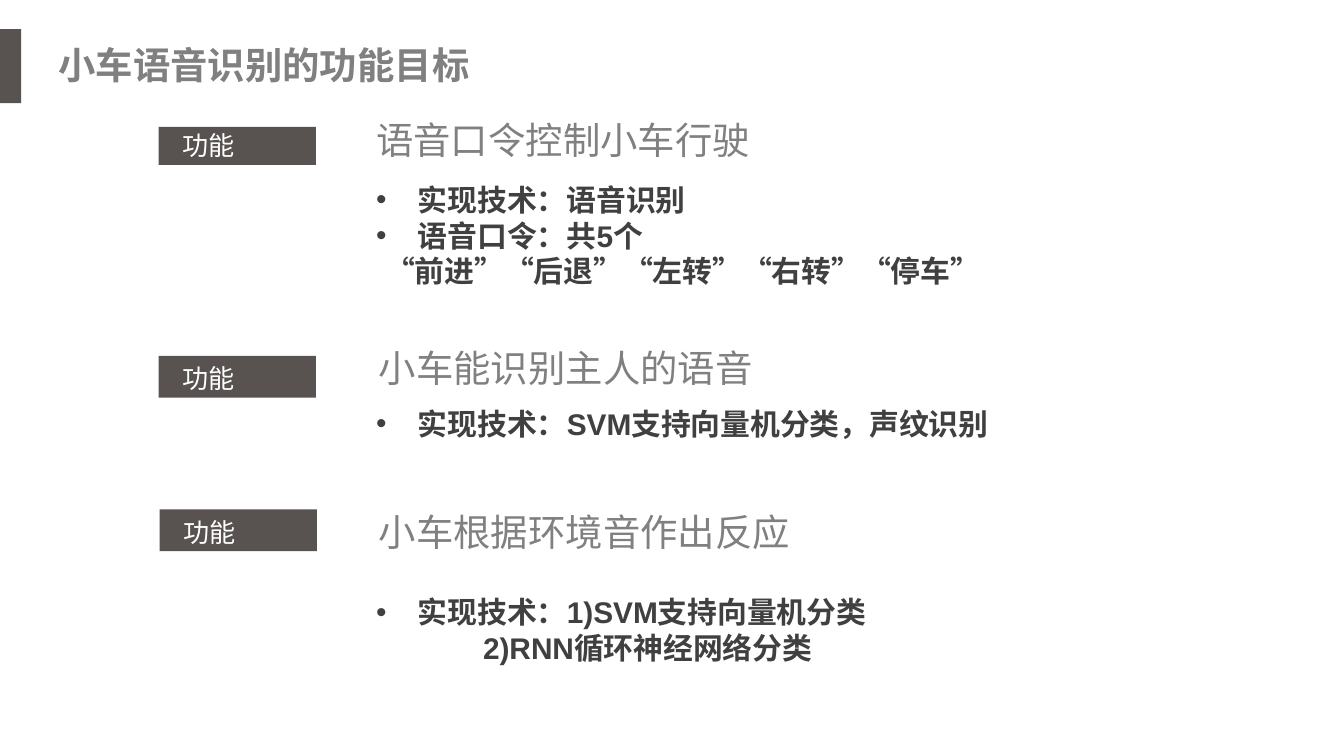
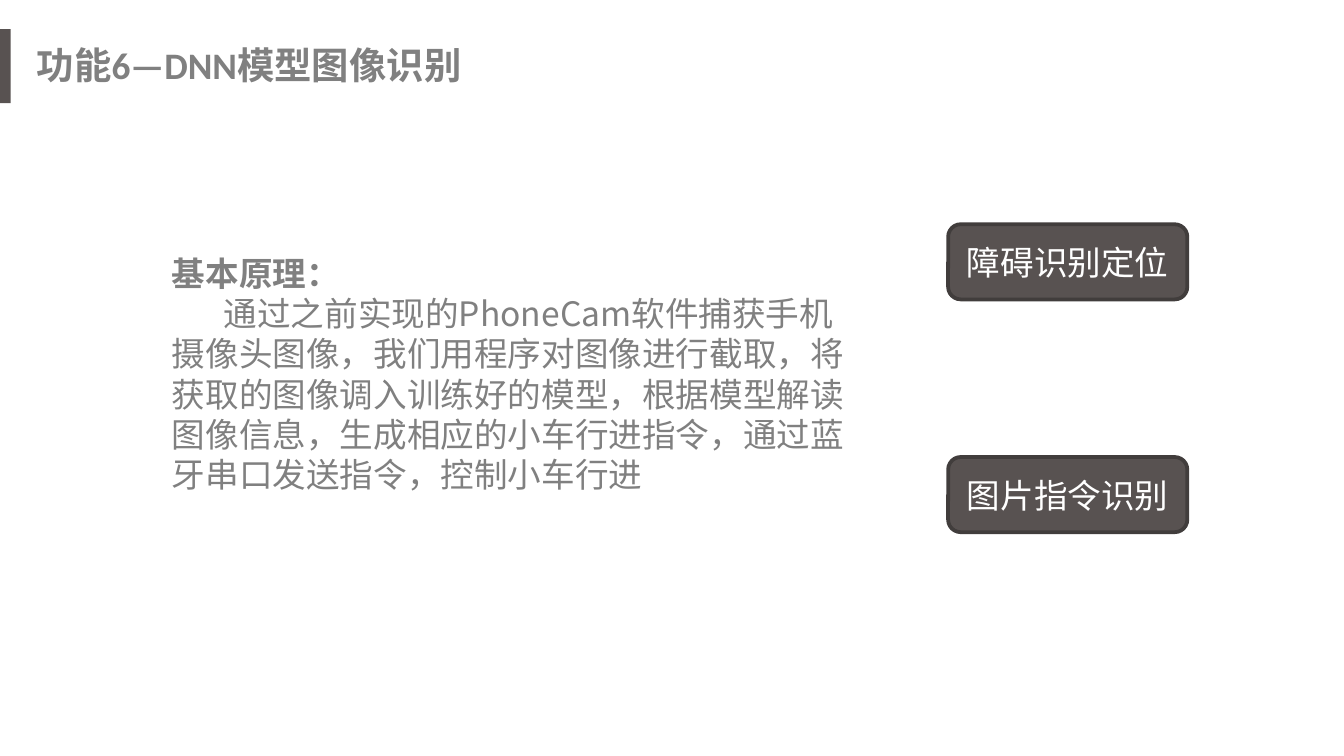
from dataclasses import dataclass

from lxml import etree
from pptx import Presentation
from pptx import util as u
from pptx.dml.color import RGBColor
from pptx.enum import lang, shapes, text
from pptx.oxml import ns

Cm = u.Cm


@dataclass(frozen=True)
class Theme:
    dark: str = "585251"
    edge: str = "413D3C"
    grey: str = "808080"
    ink: str = "404040"
    white: str = "FFFFFF"
    cjk: str = "Noto Sans CJK SC"
    title_size: int = 20
    button_size: int = 18
    body_size: int = 16
    tag_size: int = 14
    line_pitch: float = 1.2


THEME = Theme()
BULLET_INDENT = 0.79
MIDDLE = text.MSO_ANCHOR.MIDDLE
CENTER = text.PP_ALIGN.CENTER

# Tag box, heading box, body box, heading, bullets, (indent, closing line)
FUNCTIONS = [
    ((3.0, 2.4, 2.97, 0.72), (6.86, 1.98, 7.92, 1.3), (6.91, 3.33, 11.91, 2.24),
     "语音口令控制小车行驶",
     ["实现技术：语音识别", "语音口令：共5个"],
     (0.17, "“前进”“后退”“左转”“右转”“停车”")),
    ((3.0, 6.73, 2.97, 0.79), (6.91, 6.3, 9.9, 1.3), (6.91, 7.57, 11.91, 1.55),
     "小车能识别主人的语音",
     ["实现技术：SVM支持向量机分类，声纹识别"], None),
    ((3.02, 9.63, 2.97, 0.79), (6.91, 9.4, 9.9, 1.3), (6.91, 11.13, 11.91, 2.24),
     "小车根据环境音作出反应",
     ["实现技术：1)SVM支持向量机分类"],
     (2.02, "2)RNN循环神经网络分类")),
]
PRINCIPLE = ("通过之前实现的PhoneCam软件捕获手机摄像头图像，我们用程序对图像进行截取，"
             "将获取的图像调入训练好的模型，根据模型解读图像信息，生成相应的小车行进指令，"
             "通过蓝牙串口发送指令，控制小车行进")


def lengths(box):
    return [Cm(value) for value in box]


def paint(shape, color):
    shape.fill.solid()
    shape.fill.fore_color.rgb = RGBColor.from_string(color)


def format_paragraph(paragraph, size, font, color, bold=False, align=None):
    paragraph.alignment = align
    paragraph.line_spacing = u.Pt(round(size * THEME.line_pitch, 1))
    for run in paragraph.runs:
        run.font.size = u.Pt(size)
        run.font.name = font
        run.font.bold = bold
        run.font.color.rgb = RGBColor.from_string(color)
        run.font.language_id = lang.MSO_LANGUAGE_ID.SIMPLIFIED_CHINESE
        latin = run.font._element.find(ns.qn("a:latin"))
        east_asian = etree.Element(ns.qn("a:ea"), typeface=THEME.cjk)
        latin.addnext(east_asian)


def indent(paragraph, left, first=0):
    properties = paragraph._p.get_or_add_pPr()
    properties.set("marL", str(Cm(left)))
    properties.set("indent", str(Cm(first)))
    return properties


def add_bullet(paragraph):
    properties = indent(paragraph, BULLET_INDENT, -BULLET_INDENT)
    etree.SubElement(properties, ns.qn("a:buFont"), typeface="Arial")
    etree.SubElement(properties, ns.qn("a:buChar"), char="•")


def add_block(slide, kind, box, color, line=None):
    shape = slide.shapes.add_shape(kind, *lengths(box))
    shape.shadow.inherit = False
    paint(shape, color)
    if line:
        shape.line.color.rgb = RGBColor.from_string(line)
        shape.line.width = u.Pt(2)
    else:
        shape.line.fill.background()
    return shape


def add_text_box(slide, box, lines, wrap=True, anchor=text.MSO_ANCHOR.TOP):
    frame = slide.shapes.add_textbox(*lengths(box)).text_frame
    frame.word_wrap = wrap
    frame.vertical_anchor = anchor
    frame.text = "\n".join(lines)
    return frame


def add_titled_slide(presentation, title, title_left):
    slide = presentation.slides.add_slide(presentation.slide_layouts[5])
    band = add_block(slide, shapes.MSO_SHAPE.RECTANGLE, (0, 0.55, 0.4, 1.4), THEME.dark)
    placeholder = slide.shapes.title
    placeholder._element.addprevious(band._element)
    placeholder.left, placeholder.top, placeholder.width, placeholder.height = lengths(
        (title_left, 0.03, 9.02, 2.39))
    paint(placeholder, THEME.white)
    frame = placeholder.text_frame
    frame.text = title
    frame.auto_size = text.MSO_AUTO_SIZE.NONE
    frame.vertical_anchor = MIDDLE
    format_paragraph(frame.paragraphs[0], THEME.title_size, "Calibri", THEME.grey, True, CENTER)
    return slide


def add_tag(slide, box, label):
    left, top, _, height = box
    add_block(slide, shapes.MSO_SHAPE.RECTANGLE, box, THEME.dark)
    label_top = top + height - 0.79
    frame = add_text_box(slide, (left + 0.2, label_top, 1.9, 0.86), [label], wrap=False)
    format_paragraph(frame.paragraphs[0], THEME.tag_size, "Open Sans", THEME.white)


def add_heading(slide, box, heading):
    frame = add_text_box(slide, box, [heading], anchor=MIDDLE)
    format_paragraph(frame.paragraphs[0], THEME.title_size, THEME.cjk, THEME.grey)


def add_details(slide, box, bullets, closing):
    lines = bullets + ([closing[1]] if closing else [])
    frame = add_text_box(slide, box, lines)
    frame.margin_left = Cm(0.2)
    frame.margin_right = frame.margin_top = frame.margin_bottom = Cm(0.1)
    for index, paragraph in enumerate(frame.paragraphs):
        format_paragraph(paragraph, THEME.body_size, "Arial", THEME.ink, True)
        if index < len(bullets):
            add_bullet(paragraph)
        else:
            indent(paragraph, closing[0])


def add_principle(slide, box):
    frame = add_text_box(slide, box, ["基本原理：", PRINCIPLE])
    heading, body = frame.paragraphs
    format_paragraph(heading, THEME.button_size, THEME.cjk, THEME.grey, True)
    format_paragraph(body, THEME.button_size, THEME.cjk, THEME.grey)
    indent(body, 0, 0.98)


def add_button(slide, box, label):
    button = add_block(slide, shapes.MSO_SHAPE.ROUNDED_RECTANGLE, box, THEME.dark, THEME.edge)
    frame = button.text_frame
    frame.text = label
    frame.vertical_anchor = MIDDLE
    format_paragraph(frame.paragraphs[0], THEME.button_size, "Calibri", THEME.white, align=CENTER)


def build_goals_slide(presentation):
    slide = add_titled_slide(presentation, "小车语音识别的功能目标", 0.48)
    for tag_box, heading_box, body_box, heading, bullets, closing in FUNCTIONS:
        add_tag(slide, tag_box, "功能")
        add_heading(slide, heading_box, heading)
        add_details(slide, body_box, bullets, closing)


def build_recognition_slide(presentation):
    slide = add_titled_slide(presentation, "功能6—DNN模型图像识别", 0.2)
    add_principle(slide, (3.0, 4.65, 13.31, 4.98))
    for top, label in ((4.24, "障碍识别定位"), (8.64, "图片指令识别")):
        add_button(slide, (17.92, top, 4.52, 1.42), label)


def main():
    presentation = Presentation()
    presentation.slide_width = Cm(25.4)
    presentation.slide_height = Cm(14.29)
    build_goals_slide(presentation)
    build_recognition_slide(presentation)
    presentation.save("out.pptx")


if __name__ == "__main__":
    main()
